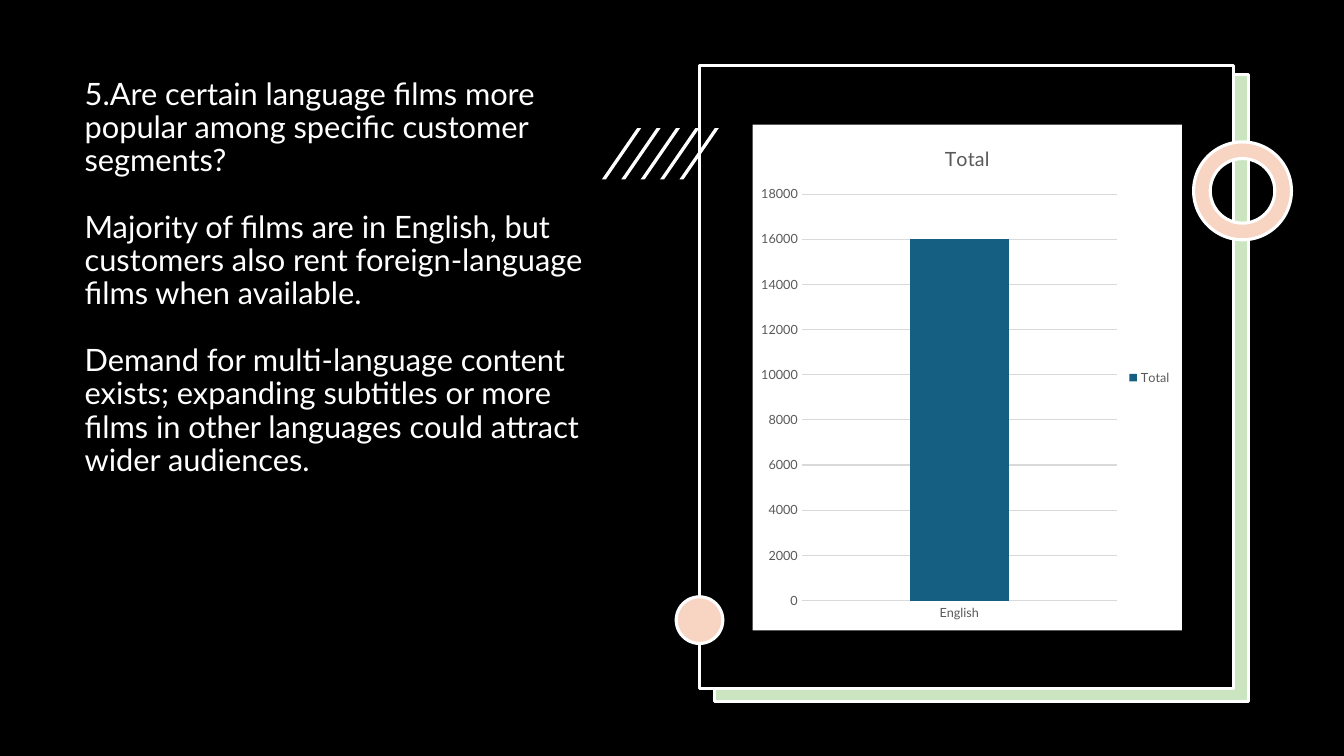
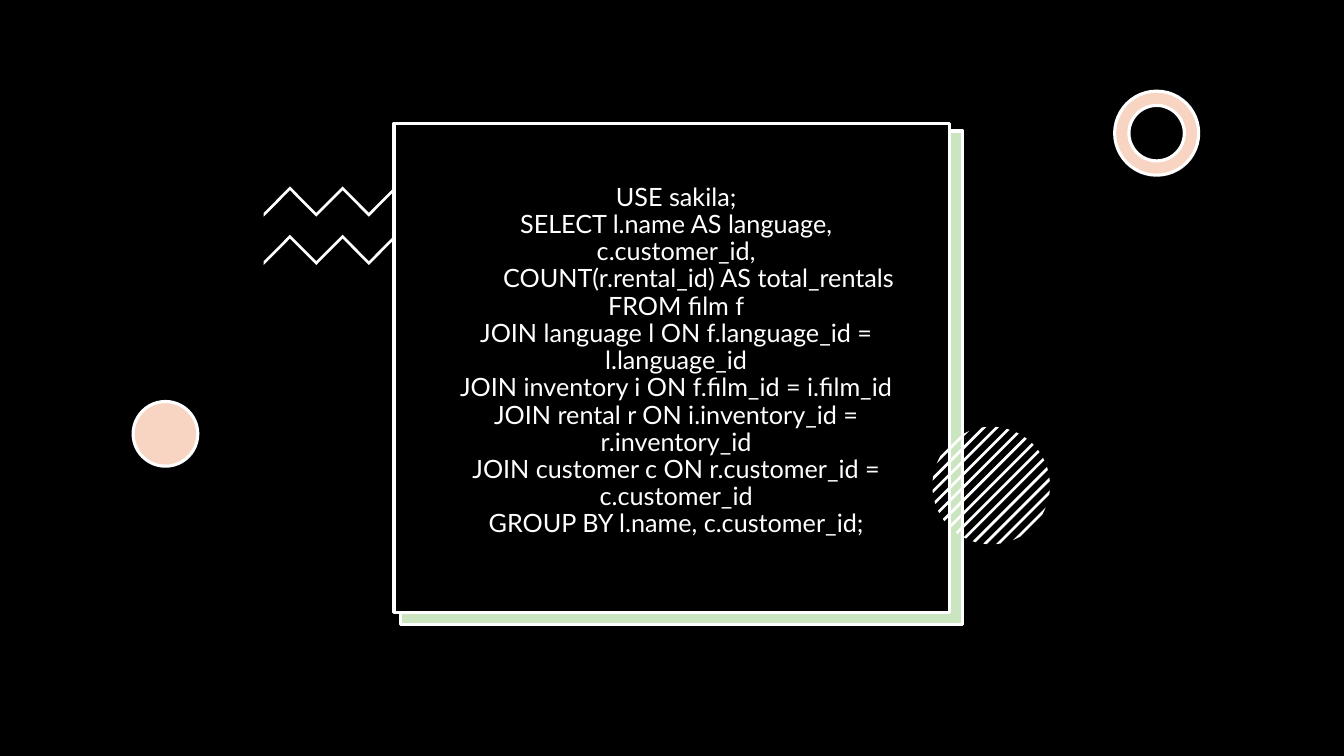
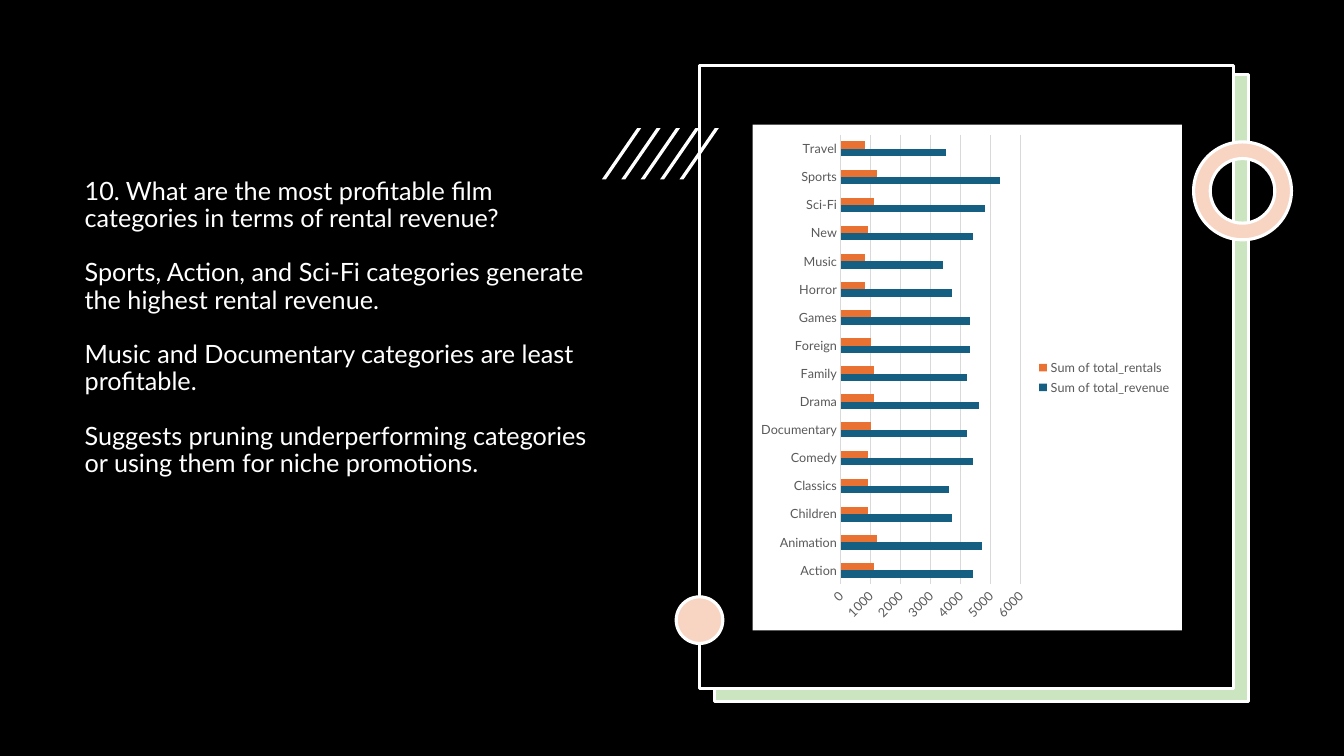
from dataclasses import dataclass
from math import sqrt

from pptx import Presentation
from pptx.chart.data import CategoryChartData
from pptx.dml.color import RGBColor
from pptx.enum.chart import XL_CHART_TYPE, XL_LEGEND_POSITION, XL_TICK_MARK
from pptx.enum.shapes import MSO_SHAPE
from pptx.enum.text import MSO_ANCHOR, MSO_AUTO_SIZE, PP_ALIGN
from pptx.oxml import parse_xml
from pptx.oxml.ns import nsdecls, qn
from pptx.util import Emu, Inches, Pt

RECTANGLE, OVAL, DONUT = MSO_SHAPE.RECTANGLE, MSO_SHAPE.OVAL, MSO_SHAPE.DONUT
LEFT, CENTER = PP_ALIGN.LEFT, PP_ALIGN.CENTER
COLUMN, BAR = XL_CHART_TYPE.COLUMN_CLUSTERED, XL_CHART_TYPE.BAR_CLUSTERED
NO_TICK = XL_TICK_MARK.NONE
LEGEND_RIGHT = XL_LEGEND_POSITION.RIGHT


@dataclass(frozen=True)
class Theme:
    font: str = "Lato"
    black: RGBColor = RGBColor(0x00, 0x00, 0x00)
    white: RGBColor = RGBColor(0xFF, 0xFF, 0xFF)
    green: RGBColor = RGBColor(0xCA, 0xE5, 0xC0)
    peach: RGBColor = RGBColor(0xF8, 0xD4, 0xC2)
    blue: RGBColor = RGBColor(0x15, 0x60, 0x82)
    orange: RGBColor = RGBColor(0xE9, 0x71, 0x32)
    label: RGBColor = RGBColor(0x59, 0x59, 0x59)
    grid: RGBColor = RGBColor(0xD9, 0xD9, 0xD9)
    outline: float = 2.25
    hairline: float = 0.75
    chart_title: int = 14
    chart_label: int = 9
    blank_line: float = 1.08


THEME = Theme()
WIDTH, HEIGHT = Inches(40 / 3), Inches(7.5)
COLUMNS, ROWS = 160, 90
COLUMN_WIDTH, ROW_HEIGHT = WIDTH / COLUMNS, HEIGHT / ROWS

CHART_LAYOUT = {
    "title": (8.88, 10.7, 64.2, 46.8),
    "mat": (85.1, 8.9, 63.5, 74.65),
    "frame": (83.3, 7.8, 63.5, 74.15),
    "ring": (142.1, 16.9, 11.65, 11.65),
    "dot": (80.5, 71.05, 5.55, 5.55),
    "chart": (89.6, 14.85, 51.1, 60.2),
}
CODE_LAYOUT = {
    "title": (51, 25.2, 59, 39.5),
    "mat": (47.7, 15.6, 66.9, 58.8),
    "frame": (46.9, 14.7, 66.1, 58.2),
    "ring": (132.7, 10.85, 10, 10),
    "dot": (15.85, 47.8, 7.7, 7.7),
}
DECORATION = [
    ("mat", RECTANGLE, THEME.green),
    ("frame", RECTANGLE, THEME.black),
    ("ring", DONUT, THEME.peach),
    ("dot", OVAL, THEME.peach),
]

SLASHES = []
for index in range(5):
    x = 71.65 + 2.31 * index
    SLASHES.append([(x, 21.35), (x + 4.2, 15.25), (x + 4.68, 15.25), (x + 0.48, 21.35)])

ZIGZAGS = []
for top in (22.2, 27.95):
    ridge = [(31.4 + 3.13 * i, top + (0 if i % 2 else 3.15)) for i in range(9)]
    ZIGZAGS.append(ridge + [(x, y + 0.45) for x, y in reversed(ridge)])

HATCHING = []
center_x, center_y, radius = 118, 57.8, 7
for index in range(-6, 7):
    corners = []
    for offset, ends in ((1.1 * index - 0.16, (-1, 1)), (1.1 * index + 0.16, (1, -1))):
        half_chord = sqrt(radius ** 2 - offset ** 2)
        for end in ends:
            corners.append((center_x + (offset + end * half_chord) / sqrt(2),
                            center_y + (offset - end * half_chord) / sqrt(2)))
    HATCHING.append(corners)

SLIDES = [
    {
        "layout": CHART_LAYOUT, "size": 22, "align": LEFT, "gap": THEME.blank_line,
        "behind": [], "front": SLASHES,
        "text": [
            "5.Are certain language films more popular among specific customer segments?",
            "Majority of films are in English, but customers also rent foreign-language films when available.",
            "Demand for multi-language content exists; expanding subtitles or more films in other languages could attract wider audiences.",
        ],
        "chart": {
            "type": COLUMN, "title": "Total", "gap": 219, "overlap": -27,
            "maximum": 18000, "unit": 2000, "rotation": 0,
            "categories": ["English"],
            "series": [("Total", [16000], THEME.blue)],
        },
    },
    {
        "layout": CODE_LAYOUT, "size": 18, "align": CENTER, "gap": 0,
        "behind": ZIGZAGS, "front": HATCHING,
        "text": [
            "USE sakila;",
            "SELECT l.name AS language, c.customer_id,",
            "       COUNT(r.rental_id) AS total_rentals",
            "FROM film f",
            "JOIN language l ON f.language_id = l.language_id",
            "JOIN inventory i ON f.film_id = i.film_id",
            "JOIN rental r ON i.inventory_id = r.inventory_id",
            "JOIN customer c ON r.customer_id = c.customer_id",
            "GROUP BY l.name, c.customer_id;",
        ],
        "chart": None,
    },
    {
        "layout": CHART_LAYOUT, "size": 18, "align": LEFT, "gap": THEME.blank_line,
        "behind": [], "front": SLASHES,
        "text": [
            "10. What are the most profitable film categories in terms of rental revenue?",
            "Sports, Action, and Sci-Fi categories generate the highest rental revenue.",
            "Music and Documentary categories are least profitable.",
            "Suggests pruning underperforming categories or using them for niche promotions.",
        ],
        "chart": {
            "type": BAR, "title": None, "gap": 182, "overlap": 0,
            "maximum": 6000, "unit": 1000, "rotation": -45,
            "categories": ["Action", "Animation", "Children", "Classics", "Comedy", "Documentary",
                           "Drama", "Family", "Foreign", "Games", "Horror", "Music", "New",
                           "Sci-Fi", "Sports", "Travel"],
            "series": [
                ("Sum of total_revenue", [4400, 4700, 3700, 3600, 4400, 4200, 4600, 4200, 4300,
                                          4300, 3700, 3400, 4400, 4800, 5300, 3500], THEME.blue),
                ("Sum of total_rentals", [1100, 1200, 900, 900, 900, 1000, 1100, 1100, 1000,
                                          1000, 800, 800, 900, 1100, 1200, 800], THEME.orange),
            ],
        },
    },
]


def place(left, top, width, height):
    return (Emu(round(left * COLUMN_WIDTH)), Emu(round(top * ROW_HEIGHT)),
            Emu(round(width * COLUMN_WIDTH)), Emu(round(height * ROW_HEIGHT)))


def add_outlines(slide, outlines):
    for outline in outlines:
        points = [(round(x * COLUMN_WIDTH), round(y * ROW_HEIGHT)) for x, y in outline]
        builder = slide.shapes.build_freeform(*points[0])
        builder.add_line_segments(points[1:], close=True)
        shape = builder.convert_to_shape()
        shape.shadow.inherit = False
        shape.fill.solid()
        shape.fill.fore_color.rgb = THEME.white
        shape.line.fill.background()


presentation = Presentation()
presentation.slide_width, presentation.slide_height = WIDTH, HEIGHT
background = presentation.slide_master.background.fill
background.solid()
background.fore_color.rgb = THEME.black

for content in SLIDES:
    slide = presentation.slides.add_slide(presentation.slide_layouts[0])
    subtitle = slide.placeholders[1].element
    subtitle.getparent().remove(subtitle)
    layout = content["layout"]

    add_outlines(slide, content["behind"])
    for name, kind, color in DECORATION:
        shape = slide.shapes.add_shape(kind, *place(*layout[name]))
        shape.shadow.inherit = False
        shape.fill.solid()
        shape.fill.fore_color.rgb = color
        shape.line.color.rgb = THEME.white
        shape.line.width = Pt(THEME.outline)
        if kind == DONUT:
            shape.adjustments[0] = 0.17
    add_outlines(slide, content["front"])

    title = slide.shapes.title
    title.left, title.top, title.width, title.height = place(*layout["title"])
    title.element.getparent().append(title.element)
    frame = title.text_frame
    frame.text = "\n".join(content["text"])
    frame_format = {"word_wrap": True, "auto_size": MSO_AUTO_SIZE.NONE,
                    "vertical_anchor": MSO_ANCHOR.BOTTOM}
    for name, value in frame_format.items():
        setattr(frame, name, value)
    for index, paragraph in enumerate(frame.paragraphs):
        paragraph_format = {
            "alignment": content["align"], "line_spacing": 0.9, "space_after": Pt(0),
            "space_before": Pt(content["size"] * content["gap"] if index else 0),
        }
        for name, value in paragraph_format.items():
            setattr(paragraph, name, value)
        font = paragraph.runs[0].font
        font.name, font.size = THEME.font, Pt(content["size"])
        font.color.rgb = THEME.white

    details = content["chart"]
    if details is None:
        continue
    data = CategoryChartData()
    data.categories = details["categories"]
    for name, values, color in details["series"]:
        data.add_series(name, values)
    chart = slide.shapes.add_chart(details["type"], *place(*layout["chart"]), data).chart
    chart.font.name, chart.font.size = THEME.font, Pt(THEME.chart_label)
    chart.font.color.rgb = THEME.label
    chart.element.find(qn("c:chart")).addnext(parse_xml(
        f'<c:spPr {nsdecls("c", "a")}><a:solidFill><a:srgbClr val="{THEME.white}"/></a:solidFill>'
        "<a:ln><a:noFill/></a:ln></c:spPr>"))

    chart.has_title = details["title"] is not None
    if chart.has_title:
        chart.chart_title.text_frame.text = details["title"]
        font = chart.chart_title.text_frame.paragraphs[0].runs[0].font
        font.name, font.size, font.bold = THEME.font, Pt(THEME.chart_title), False
        font.color.rgb = THEME.label
    chart.has_legend = True
    chart.legend.position = LEGEND_RIGHT
    chart.legend.include_in_layout = False

    plot = chart.plots[0]
    plot_format = {"vary_by_categories": False, "gap_width": details["gap"],
                   "overlap": details["overlap"]}
    for name, value in plot_format.items():
        setattr(plot, name, value)
    for series, (name, values, color) in zip(plot.series, details["series"]):
        series.format.fill.solid()
        series.format.fill.fore_color.rgb = color

    for axis in (chart.category_axis, chart.value_axis):
        axis.major_tick_mark = axis.minor_tick_mark = NO_TICK
        font = axis.tick_labels.font
        font.name, font.size = THEME.font, Pt(THEME.chart_label)
        font.color.rgb = THEME.label
    value_format = {"minimum_scale": 0, "maximum_scale": details["maximum"],
                    "major_unit": details["unit"], "has_major_gridlines": True}
    for name, value in value_format.items():
        setattr(chart.value_axis, name, value)
    chart.value_axis.format.line.fill.background()
    for line in (chart.category_axis.format.line, chart.value_axis.major_gridlines.format.line):
        line.color.rgb = THEME.grid
        line.width = Pt(THEME.hairline)
    label_body = chart.element.find(f'.//{qn("c:valAx")}/{qn("c:txPr")}/{qn("a:bodyPr")}')
    label_body.set("rot", str(details["rotation"] * 60000))

presentation.save("out.pptx")
